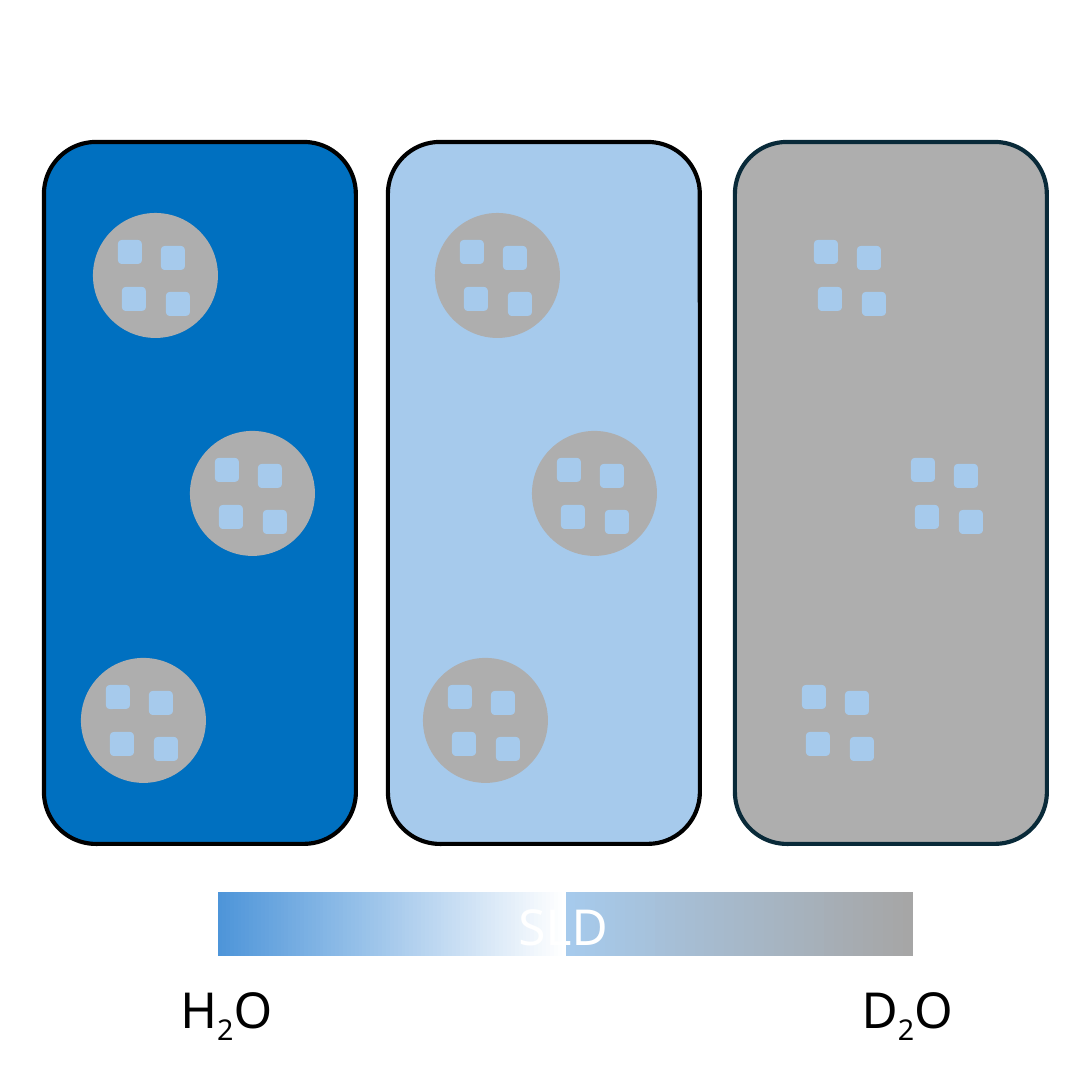
import dataclasses

import lxml.etree
import pptx
import pptx.dml.color
import pptx.enum.shapes
import pptx.enum.text
import pptx.oxml.ns
import pptx.util

SHAPES = pptx.enum.shapes.MSO_SHAPE
EMU_PER_PX = 914400 / 198.2
SLIDE_SIDE = 1092

PANEL_TOP, PANEL_WIDTH, PANEL_HEIGHT = 142, 312, 702
PARTICLE_POSITIONS = [(0, 213), (97, 431), (-12, 658)]
PARTICLE_SIZE = 125
DOMAIN_OFFSETS = [(25, 27), (68, 33), (29, 74), (73, 79)]
DOMAIN_SIZE = 24


@dataclasses.dataclass(frozen=True)
class Theme:
    """Colours, type and line widths of the slide."""
    font: str = "Noto Sans"
    text_size: int = 18
    outline_width: float = 1.5
    black: str = "000000"
    white: str = "FFFFFF"
    water: str = "0070C0"
    matched: str = "A6CAEC"
    heavy: str = "AEAEAE"
    heavy_outline: str = "092A39"
    scale_grey: str = "A6A6A6"
    scale_blue: str = "4E95D9"


def px(length):
    """Turn pixels into EMU."""
    return pptx.util.Emu(round(length * EMU_PER_PX))


def rgb(colour):
    """Turn a hex colour into an RGBColor."""
    return pptx.dml.color.RGBColor.from_string(colour)


class Canvas:
    """Draws styled elements on one slide."""

    def __init__(self, slide, theme):
        """Keep the slide and its theme."""
        self.slide = slide
        self.theme = theme

    def shape(self, kind, left, top, width, height, fill=None, outline=None, parent=None):
        """Add a preset shape to the slide or to a group."""
        shapes = (parent or self.slide).shapes
        shape = shapes.add_shape(kind, px(left), px(top), px(width), px(height))
        shape.shadow.inherit = False
        if fill:
            shape.fill.solid()
            shape.fill.fore_color.rgb = rgb(fill)
        if outline:
            shape.line.color.rgb = rgb(outline)
            shape.line.width = pptx.util.Pt(self.theme.outline_width)
        else:
            shape.line.fill.background()
        return shape

    def panel(self, left, fill, outline):
        """Add a tall rounded panel."""
        self.shape(SHAPES.ROUNDED_RECTANGLE, left, PANEL_TOP, PANEL_WIDTH, PANEL_HEIGHT, fill, outline)

    def particle(self, left, top):
        """Add a grouped round particle with four small domains."""
        group = self.slide.shapes.add_group_shape()
        self.shape(SHAPES.OVAL, left, top, PARTICLE_SIZE, PARTICLE_SIZE, self.theme.heavy, parent=group)
        for across, down in DOMAIN_OFFSETS:
            self.shape(SHAPES.ROUNDED_RECTANGLE, left + across, top + down,
                       DOMAIN_SIZE, DOMAIN_SIZE, self.theme.matched, parent=group)

    def gradient_bar(self, left, top, width, height, stops):
        """Add a bar whose gradient runs from right to left."""
        bar = self.shape(SHAPES.RECTANGLE, left, top, width, height)
        bar.fill.gradient()
        bar.fill.gradient_angle = 180
        qn = pptx.oxml.ns.qn
        stop_list = bar._element.spPr.find(".//" + qn("a:gsLst"))
        for stop in list(stop_list):
            stop_list.remove(stop)
        for percent, colour in stops:
            stop = lxml.etree.SubElement(stop_list, qn("a:gs"), pos=str(percent * 1000))
            lxml.etree.SubElement(stop, qn("a:srgbClr"), val=colour)

    def label(self, left, top, width, height, parts, colour):
        """Add a one-line label, setting digits as subscripts."""
        box = self.slide.shapes.add_textbox(px(left), px(top), px(width), px(height))
        frame = box.text_frame
        frame.word_wrap = True
        frame.auto_size = pptx.enum.text.MSO_AUTO_SIZE.SHAPE_TO_FIT_TEXT
        paragraph = frame.paragraphs[0]
        paragraph.font.name = self.theme.font
        paragraph.font.size = pptx.util.Pt(self.theme.text_size)
        paragraph.font.color.rgb = rgb(colour)
        for part in parts:
            run = paragraph.add_run()
            run.text = part
            if part.isdigit():
                run.font._element.set("baseline", "-25000")


def main():
    """Build and save the slide."""
    presentation = pptx.Presentation()
    presentation.slide_width = presentation.slide_height = px(SLIDE_SIDE)
    slide = presentation.slides.add_slide(presentation.slide_layouts[6])
    theme = Theme()
    canvas = Canvas(slide, theme)

    panels = [
        (44, 93, theme.water, theme.black),
        (388, 435, theme.matched, theme.black),
        (735, 789, theme.heavy, theme.heavy_outline),
    ]
    for panel_left, particle_left, fill, outline in panels:
        canvas.panel(panel_left, fill, outline)
        for across, top in PARTICLE_POSITIONS:
            canvas.particle(particle_left + across, top)

    canvas.gradient_bar(218, 892, 695, 64, [
        (0, theme.scale_grey), (50, theme.matched), (50, theme.white), (100, theme.scale_blue),
    ])
    canvas.label(161, 969, 149, 80, ["H", "2", "O"], theme.black)
    canvas.label(842, 969, 149, 80, ["D", "2", "O"], theme.black)
    canvas.label(499, 886, 145, 80, ["SLD"], theme.white)
    presentation.save("out.pptx")


if __name__ == "__main__":
    main()
